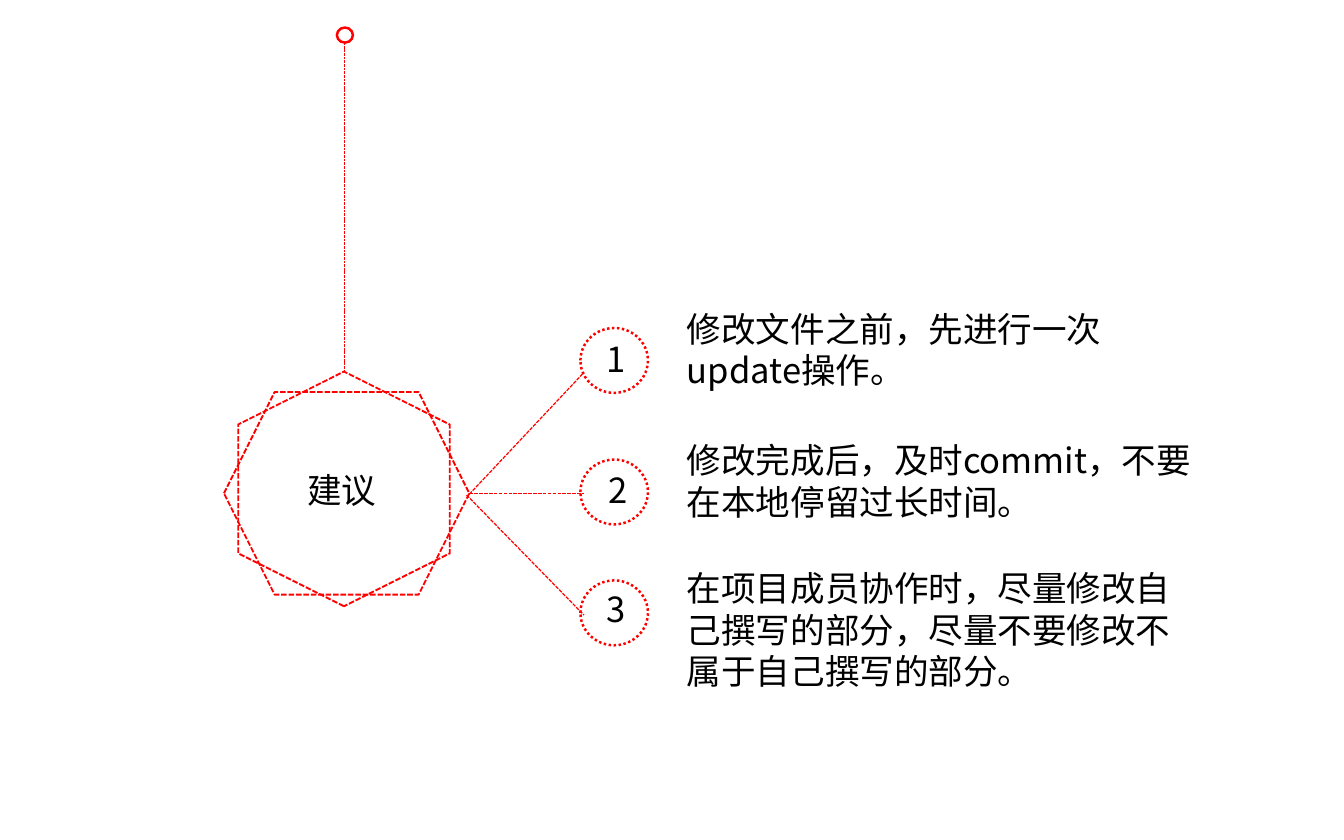
import pptx
import pptx.util
import pptx.dml.color
import pptx.enum.dml
import pptx.enum.shapes
import pptx.enum.text
import pptx.oxml.ns
from lxml import etree

Inches, Pt = pptx.util.Inches, pptx.util.Pt
SHAPE = pptx.enum.shapes.MSO_SHAPE
DASH = pptx.enum.dml.MSO_LINE
ALIGN = pptx.enum.text.PP_ALIGN

COLORS = {"accent": "FF0000", "text": "000000"}
FONT = "Noto Sans CJK SC"

# Circle top, (number left, top, width, height), line start, line end, advice top, height, text
ITEMS = [
    (3.69, (6.72, 3.75, 0.4, 0.57), (5.28, 5.56), (6.57, 4.19),
     3.41, 1.28, "修改文件之前，先进行一次update操作。"),
    (5.17, (6.75, 5.23, 0.33, 0.7), (5.28, 5.55), (6.57, 5.55),
     4.89, 1.28, "修改完成后，及时commit，不要在本地停留过长时间。"),
    (6.53, (6.72, 6.57, 0.33, 0.7), (5.25, 5.57), (6.57, 6.92),
     6.33, 2.44, "在项目成员协作时，尽量修改自己撰写的部分，尽量不要修改不属于自己撰写的部分。"),
]


def rgb(name):
    return pptx.dml.color.RGBColor.from_string(COLORS[name])


def style_line(line, width, dash=None):
    line.color.rgb = rgb("accent")
    line.width = Pt(width)
    if dash is not None:
        line.dash_style = dash


def add_outline(s, kind, box, width, dash=None, rotation=0):
    sp = s.shapes.add_shape(kind, *map(Inches, box))
    sp.shadow.inherit = False
    sp.fill.background()
    sp.rotation = rotation
    style_line(sp.line, width, dash)


def add_dashed_line(s, start, end, width):
    cx = s.shapes.add_connector(pptx.enum.shapes.MSO_CONNECTOR.STRAIGHT,
                                *map(Inches, start + end))
    style_line(cx.line, width, DASH.SQUARE_DOT)
    etree.SubElement(cx._element.spPr, pptx.oxml.ns.qn("a:effectLst"))


def add_text(s, text, box, align=ALIGN.LEFT):
    tf = s.shapes.add_textbox(*map(Inches, box)).text_frame
    tf.word_wrap = True
    p = tf.paragraphs[0]
    p.alignment = align
    p.line_spacing = Pt(33.6)
    r = p.add_run()
    r.text = text
    r.font.size = Pt(28)
    r.font.name = FONT
    r.font.color.rgb = rgb("text")
    # East Asian characters take their own font entry
    ea = etree.SubElement(r.font._element, pptx.oxml.ns.qn("a:ea"))
    ea.set("typeface", FONT)


def main():
    prs = pptx.Presentation()
    prs.slide_width, prs.slide_height = Inches(15.12), Inches(9.45)
    s = prs.slides.add_slide(prs.slide_layouts[6])

    # Hanging badge: two crossed hexagons, cord and ring
    add_outline(s, SHAPE.HEXAGON, (2.52, 4.41, 2.76, 2.28), 1.5, DASH.SQUARE_DOT)
    add_outline(s, SHAPE.HEXAGON, (2.55, 4.31, 2.64, 2.38), 1.5, DASH.SQUARE_DOT, 270)
    add_dashed_line(s, (3.87, 4.19), (3.87, 0.48), 0.75)
    add_outline(s, SHAPE.OVAL, (3.79, 0.31, 0.18, 0.17), 2)
    add_text(s, "建议", (3.06, 5.23, 1.57, 0.7), ALIGN.CENTER)

    # Numbered advice
    for number, item in enumerate(ITEMS, 1):
        circle_top, number_box, start, end, top, height, advice = item
        add_dashed_line(s, start, end, 1)
        add_outline(s, SHAPE.OVAL, (6.53, circle_top, 0.76, 0.73), 2, DASH.ROUND_DOT)
        add_text(s, str(number), number_box)
        add_text(s, advice, (7.63, top, 5.95, height))

    prs.save("out.pptx")


if __name__ == "__main__":
    main()
